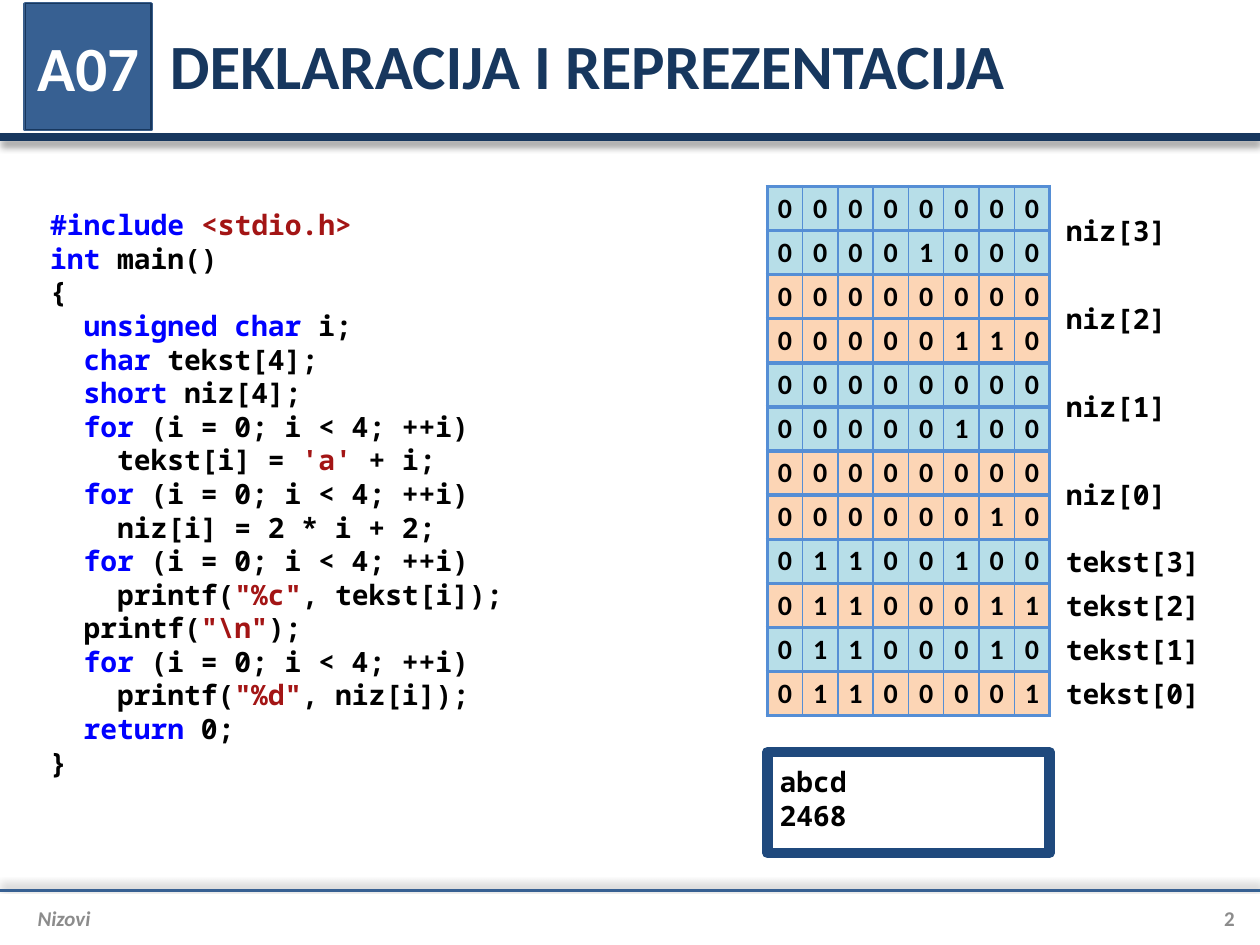
import dataclasses
import typing

import pptx
import pptx.dml.color
import pptx.enum.shapes
import pptx.enum.text
import pptx.oxml
import pptx.oxml.ns
import pptx.util

PX = 9144  # EMU in one px, 100 px to the inch
SANS, MONO = "Calibri", "Noto Sans Mono"
BLACK, WHITE, GREY, NAVY, BLUE = "000000", "FFFFFF", "8C8C8C", "17375E", "376092"
KEYWORD, LITERAL = "0000FF", "A31515"
CELL_LINE, TEAL, PEACH = "558ED5", "B7DEE8", "FCD5B5"
NO_TABLE_STYLE = "{2D5ABB26-0587-4C30-8999-92F81FD0307C}"
ALIGN = pptx.enum.text.PP_ALIGN
MIDDLE = pptx.enum.text.MSO_ANCHOR.MIDDLE
TOP = pptx.enum.text.MSO_ANCHOR.TOP


class Box(typing.NamedTuple):
    left: int
    top: int
    width: int
    height: int

    def emu(self) -> list[int]:
        return [value * PX for value in self]


class Run(typing.NamedTuple):
    text: str
    color: str = BLACK


@dataclasses.dataclass
class Style:
    size: int
    font: str = SANS
    color: str = BLACK
    italic: bool = False
    align: ALIGN = ALIGN.LEFT
    anchor: pptx.enum.text.MSO_ANCHOR = MIDDLE
    insets: tuple[int, int, int, int] = (0, 0, 0, 0)


@dataclasses.dataclass
class Rule:
    """A full-width line with a soft shadow."""
    y: int
    color: str
    weight: float
    shadow_angle: int


@dataclasses.dataclass
class Word:
    """Bits of one memory row."""
    bits: str
    color: str


RULES = [Rule(109, NAVY, 4.5, 90), Rule(707, BLUE, 1.5, 270)]
BADGE = Box(20, 3, 100, 100)
CODE_STYLE = Style(16, MONO, anchor=TOP, insets=(10, 5, 10, 5))
LABEL_STYLE = Style(16, MONO)
BIT_STYLE = Style(16, align=ALIGN.CENTER)

FOR_LINE = [Run("  for", KEYWORD), Run(" (i = 0; i < 4; ++i)")]
CODE = [
    [Run("#include", KEYWORD), Run(" "), Run("<stdio.h>", LITERAL)],
    [Run("int", KEYWORD), Run(" main()")],
    [Run("{")],
    [Run("  unsigned char", KEYWORD), Run(" i;")],
    [Run("  char", KEYWORD), Run(" tekst[4];")],
    [Run("  short", KEYWORD), Run(" niz[4];")],
    FOR_LINE,
    [Run("    tekst[i] = "), Run("'a'", LITERAL), Run(" + i;")],
    FOR_LINE,
    [Run("    niz[i] = 2 * i + 2;")],
    FOR_LINE,
    [Run("    printf("), Run('"%c"', LITERAL), Run(", tekst[i]);")],
    [Run("  printf("), Run('"\\n"', LITERAL), Run(");")],
    FOR_LINE,
    [Run("    printf("), Run('"%d"', LITERAL), Run(", niz[i]);")],
    [Run("  "), Run("return", KEYWORD), Run(" 0;")],
    [Run("}")],
]

BITS, ROW_HEIGHT, COLUMN_WIDTH, MEMORY_TOP = 8, 35, 28, 148
MEMORY = [
    Word("00000000", TEAL), Word("00001000", TEAL),
    Word("00000000", PEACH), Word("00000110", PEACH),
    Word("00000000", TEAL), Word("00000100", TEAL),
    Word("00000000", PEACH), Word("00000010", PEACH),
    Word("01100100", TEAL), Word("01100011", PEACH),
    Word("01100010", TEAL), Word("01100001", PEACH),
]
LABELS = [(f"{name}[{index}]", rows * ROW_HEIGHT)
          for name, rows in (("niz", 2), ("tekst", 1))
          for index in (3, 2, 1, 0)]


def rgb(color: str) -> pptx.dml.color.RGBColor:
    return pptx.dml.color.RGBColor.from_string(color)


def write(frame, lines: list[list[Run]], style: Style) -> None:
    frame.word_wrap = True
    frame.vertical_anchor = style.anchor
    (frame.margin_left, frame.margin_top,
     frame.margin_right, frame.margin_bottom) = [value * PX for value in style.insets]
    for index, line in enumerate(lines):
        paragraph = frame.add_paragraph() if index else frame.paragraphs[0]
        paragraph.alignment = style.align
        font = paragraph.font
        font.name, font.size = style.font, pptx.util.Pt(style.size)
        font.bold, font.italic = True, style.italic
        font.color.rgb = rgb(style.color)
        for part in line:
            run = paragraph.add_run()
            run.text = part.text
            if part.color != style.color:
                run.font.color.rgb = rgb(part.color)


def add_text(slide, box: Box, lines: list[list[Run]], style: Style) -> None:
    write(slide.shapes.add_textbox(*box.emu()).text_frame, lines, style)


def add_rectangle(slide, box: Box, fill: str, line: str, weight: float):
    shape = slide.shapes.add_shape(pptx.enum.shapes.MSO_SHAPE.RECTANGLE, *box.emu())
    shape.shadow.inherit = False
    shape.fill.solid()
    shape.fill.fore_color.rgb = rgb(fill)
    shape.line.color.rgb = rgb(line)
    shape.line.width = pptx.util.Pt(weight)
    return shape


def add_rule(slide, rule: Rule) -> None:
    connector = slide.shapes.add_connector(
        pptx.enum.shapes.MSO_CONNECTOR.STRAIGHT, 0, rule.y * PX, 1000 * PX, rule.y * PX)
    connector.line.color.rgb = rgb(rule.color)
    connector.line.width = pptx.util.Pt(rule.weight)
    connector._element.spPr.append(pptx.oxml.parse_xml(
        f'<a:effectLst {pptx.oxml.ns.nsdecls("a")}>'
        f'<a:outerShdw blurRad="{pptx.util.Pt(4)}" dist="{pptx.util.Pt(3)}"'
        f' dir="{rule.shadow_angle * 60000}" rotWithShape="0">'
        f'<a:srgbClr val="{BLACK}"><a:alpha val="40000"/></a:srgbClr>'
        '</a:outerShdw></a:effectLst>'))


def add_plain_table(slide, box: Box, heights: list[int], columns: int):
    table = slide.shapes.add_table(len(heights), columns, *box.emu()).table
    table.first_row = table.horz_banding = False
    table._tbl.tblPr.find(pptx.oxml.ns.qn("a:tableStyleId")).text = NO_TABLE_STYLE
    for row, height in zip(table.rows, heights):
        row.height = height * PX
    return table


def set_borders(cell, weights: dict[str, float]) -> None:
    """Weights go by side, in the order L, R, T, B."""
    properties = cell._tc.get_or_add_tcPr()
    for index, (side, weight) in enumerate(weights.items()):
        properties.insert(index, pptx.oxml.parse_xml(
            f'<a:ln{side} {pptx.oxml.ns.nsdecls("a")} w="{pptx.util.Pt(weight)}">'
            f'<a:solidFill><a:srgbClr val="{CELL_LINE}"/></a:solidFill></a:ln{side}>'))


def write_cell(cell, text: str, style: Style) -> None:
    cell.vertical_anchor = style.anchor
    cell.margin_left = cell.margin_right = cell.margin_top = cell.margin_bottom = 0
    write(cell.text_frame, [[Run(text)]], style)
    cell._tc.txBody.bodyPr.attrib.clear()


def add_memory(slide) -> None:
    heights = [ROW_HEIGHT] * len(MEMORY)
    box = Box(609, MEMORY_TOP, BITS * COLUMN_WIDTH, sum(heights))
    table = add_plain_table(slide, box, heights, BITS)
    for row, word in enumerate(MEMORY):
        for column, bit in enumerate(word.bits):
            cell = table.cell(row, column)
            write_cell(cell, bit, BIT_STYLE)
            cell.fill.solid()
            cell.fill.fore_color.rgb = rgb(word.color)
            set_borders(cell, {"L": 2.25 if column == 0 else 1,
                               "R": 2.25 if column == BITS - 1 else 1,
                               "T": 2.25, "B": 2.25})


def add_labels(slide) -> None:
    heights = [height for _, height in LABELS]
    table = add_plain_table(slide, Box(846, MEMORY_TOP, 154, sum(heights)), heights, 1)
    for row, (text, _) in enumerate(LABELS):
        cell = table.cell(row, 0)
        write_cell(cell, text, LABEL_STYLE)
        cell.fill.background()


def main() -> None:
    presentation = pptx.Presentation()
    presentation.slide_width, presentation.slide_height = 1000 * PX, 750 * PX
    slide = presentation.slides.add_slide(presentation.slide_layouts[6])

    for rule in RULES:
        add_rule(slide, rule)
    add_rectangle(slide, BADGE, "4F81BD", "3A5F8C", 2)
    add_text(slide, Box(125, 1, 855, 100), [[Run("DEKLARACIJA I REPREZENTACIJA", NAVY)]],
             Style(36, color=NAVY, insets=(10, 5, 10, 5)))
    add_text(slide, Box(20, 711, 910, 35), [[Run("Nizovi", GREY)]],
             Style(12, color=GREY, italic=True, insets=(10, 0, 0, 0)))
    add_text(slide, Box(930, 711, 50, 35), [[Run("2", GREY)]],
             Style(12, color=GREY, align=ALIGN.RIGHT))
    badge = add_rectangle(slide, BADGE, BLUE, NAVY, 0.75)
    write(badge.text_frame, [[Run("A07", WHITE)]],
          Style(36, color=WHITE, align=ALIGN.CENTER))

    add_text(slide, Box(30, 160, 449, 468), CODE, CODE_STYLE)
    add_memory(slide)
    add_labels(slide)
    output = add_rectangle(slide, Box(609, 597, 224, 80), WHITE, "1F497D", 6)
    write(output.text_frame, [[Run("abcd")], [Run("2468")]],
          Style(16, MONO, anchor=TOP, insets=(10, 10, 10, 10)))

    presentation.save("out.pptx")


if __name__ == "__main__":
    main()
